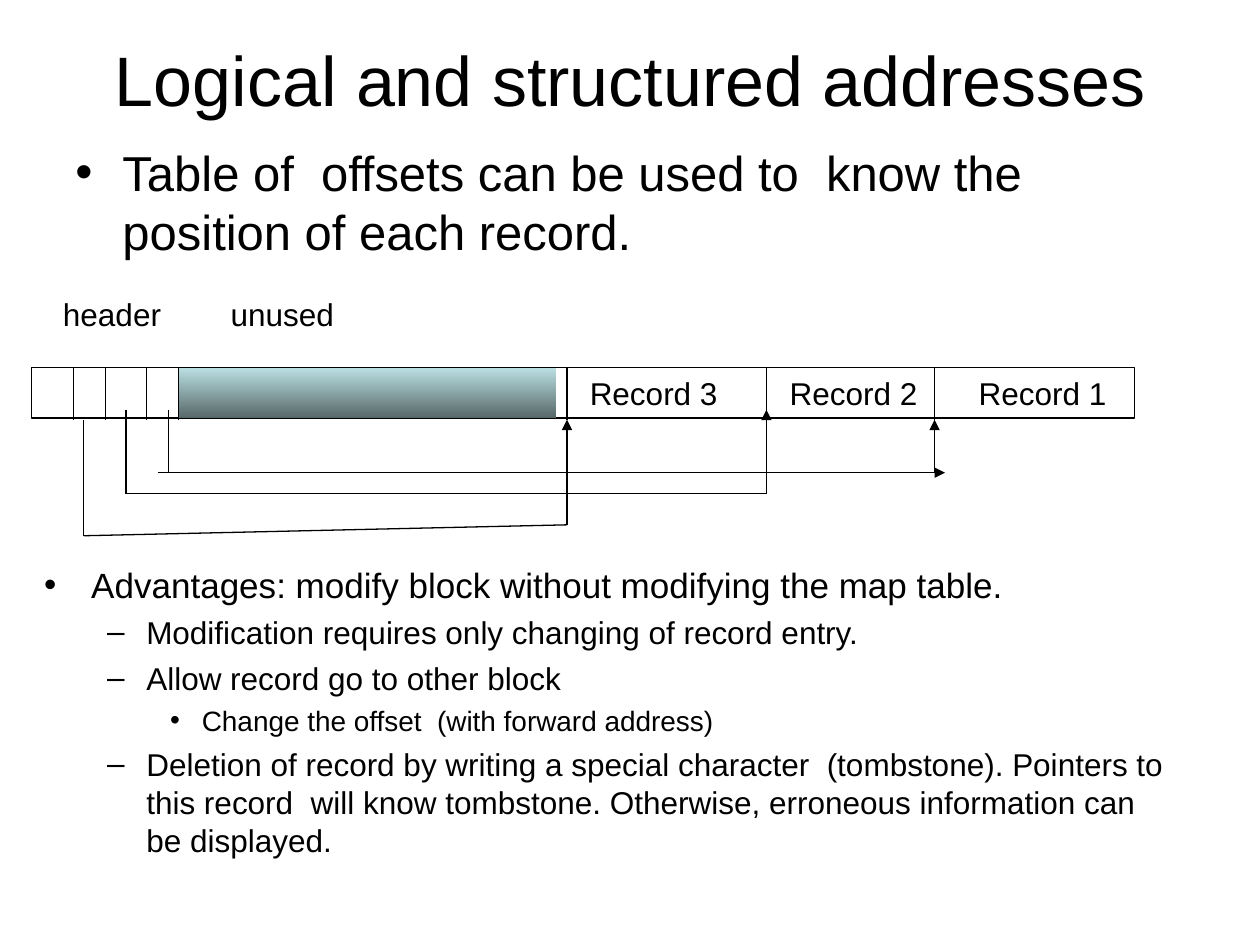
from pptx import Presentation
from pptx.dml.color import RGBColor
from pptx.enum.shapes import MSO_CONNECTOR, MSO_SHAPE
from pptx.enum.text import MSO_ANCHOR, MSO_AUTO_SIZE, PP_ALIGN
from pptx.oxml.ns import qn
from pptx.util import Cm, Pt
from lxml.etree import SubElement

BLACK = RGBColor(0x00, 0x00, 0x00)
AQUA = RGBColor(0xBB, 0xE0, 0xE3)
SLATE = RGBColor(0x57, 0x68, 0x69)

# Per level: bullet, left margin and hang in cm
LEVELS = [("•", 0.95, 0.95), ("–", 2.06, 0.79), ("•", 3.18, 0.64)]


def add_text(box, lines):
    """Fill a box with (text, size, level) lines; level None has no bullet."""
    frame = box.text_frame
    frame.word_wrap = True
    frame.text = "\n".join(line[0] for line in lines)
    for para, (_, size, level) in zip(frame.paragraphs, lines):
        font = para.runs[0].font
        font.name, font.size = "Arial", Pt(size)
        font.color.rgb = BLACK
        if level is None:
            continue
        mark, left, hang = LEVELS[level]
        para.level = level
        para.space_before = Pt(size / 4)
        props = para._p.get_or_add_pPr()
        props.set("marL", str(Cm(left)))
        props.set("indent", str(-Cm(hang)))
        SubElement(props, qn("a:buFont")).set("typeface", "Arial")
        SubElement(props, qn("a:buChar")).set("char", mark)


def add_line(start, end, arrow=False):
    """Draw a thin black line between two points in cm."""
    line = slide.shapes.add_connector(
        MSO_CONNECTOR.STRAIGHT, *[Cm(v) for v in (*start, *end)])
    line.line.color.rgb = BLACK
    line.line.width = Pt(0.74)
    if arrow:
        SubElement(line.line._get_or_add_ln(), qn("a:tailEnd")).set("type", "triangle")
    SubElement(line._element.spPr, qn("a:effectLst"))


deck = Presentation()
deck.slide_width, deck.slide_height = Cm(25.4), Cm(19.05)
slide = deck.slides.add_slide(deck.slide_layouts[5])

title = slide.shapes.title
title.left, title.top, title.width, title.height = Cm(1.27), Cm(0), Cm(22.86), Cm(3.18)
add_text(title, [("Logical and structured addresses", 40, None)])
title.text_frame.vertical_anchor = MSO_ANCHOR.MIDDLE
title.text_frame.paragraphs[0].alignment = PP_ALIGN.CENTER

intro = slide.shapes.add_textbox(Cm(1.27), Cm(2.75), Cm(22.86), Cm(3.18))
add_text(intro, [("Table of  offsets can be used to  know the position of each record.", 28, 0)])

# Block with its header cells and records
TOP, BASE, HIGH = 7.41, 8.46, 1.02
REC3, REC2, REC1 = 11.43, 15.45, 18.84
UNUSED = 3.6
block = slide.shapes.add_shape(MSO_SHAPE.RECTANGLE, Cm(0.64), Cm(TOP), Cm(22.23), Cm(HIGH))
block.shadow.inherit = False
block.fill.background()
block.line.color.rgb = BLACK
block.line.width = Pt(0.74)

for x in (1.48, 2.12, 2.96, UNUSED, REC3, REC2, REC1):
    add_line((x, TOP), (x, BASE))

# Pointers from header cells to records: points, then whether an arrow ends it
routes = [
    ([(3.39, 8.26), (3.39, 9.53)], False),
    ([(3.18, 9.53), (19.05, 9.53)], True),
    ([(REC1, 9.53), (REC1, BASE)], True),
    ([(2.54, 8.26), (2.54, 9.95), (REC2, 9.95), (REC2, 8.26)], True),
    ([(1.69, BASE), (1.69, 10.8), (REC3, 10.58), (REC3, BASE)], True),
]
for points, arrow in routes:
    for i in range(1, len(points)):
        add_line(points[i - 1], points[i], arrow and i == len(points) - 1)

free = slide.shapes.add_shape(MSO_SHAPE.RECTANGLE, Cm(UNUSED), Cm(TOP), Cm(7.62), Cm(HIGH))
free.shadow.inherit = False
free.line.fill.background()
free.fill.gradient()
free.fill.gradient_angle = 270
for stop, color, place in zip(free.fill.gradient_stops, (AQUA, SLATE), (0, 1)):
    stop.color.rgb = color
    stop.position = place

labels = [
    ("header", 1.02, 5.82, 2.49),
    ("unused", 4.4, 5.82, 2.59),
    ("Record 3", 11.64, TOP, 3.1),
    ("Record 2", 15.67, TOP, 3.1),
    ("Record 1", 19.48, TOP, 3.1),
]
for text, left, top, width in labels:
    label = slide.shapes.add_textbox(Cm(left), Cm(top), Cm(width), Cm(HIGH))
    add_text(label, [(text, 18, None)])
    label.text_frame.word_wrap = False
    label.text_frame.auto_size = MSO_AUTO_SIZE.SHAPE_TO_FIT_TEXT

merits = slide.shapes.add_textbox(Cm(0.64), Cm(11.23), Cm(23.29), Cm(6.99))
add_text(merits, [
    ("Advantages: modify block without modifying the map table.", 20, 0),
    ("Modification requires only changing of record entry.", 18, 1),
    ("Allow record go to other block", 18, 1),
    ("Change the offset  (with forward address)", 16, 2),
    ("Deletion of record by writing a special character  (tombstone). "
     "Pointers to this record  will know tombstone. "
     "Otherwise, erroneous information can be displayed.", 18, 1),
])

deck.save("out.pptx")
